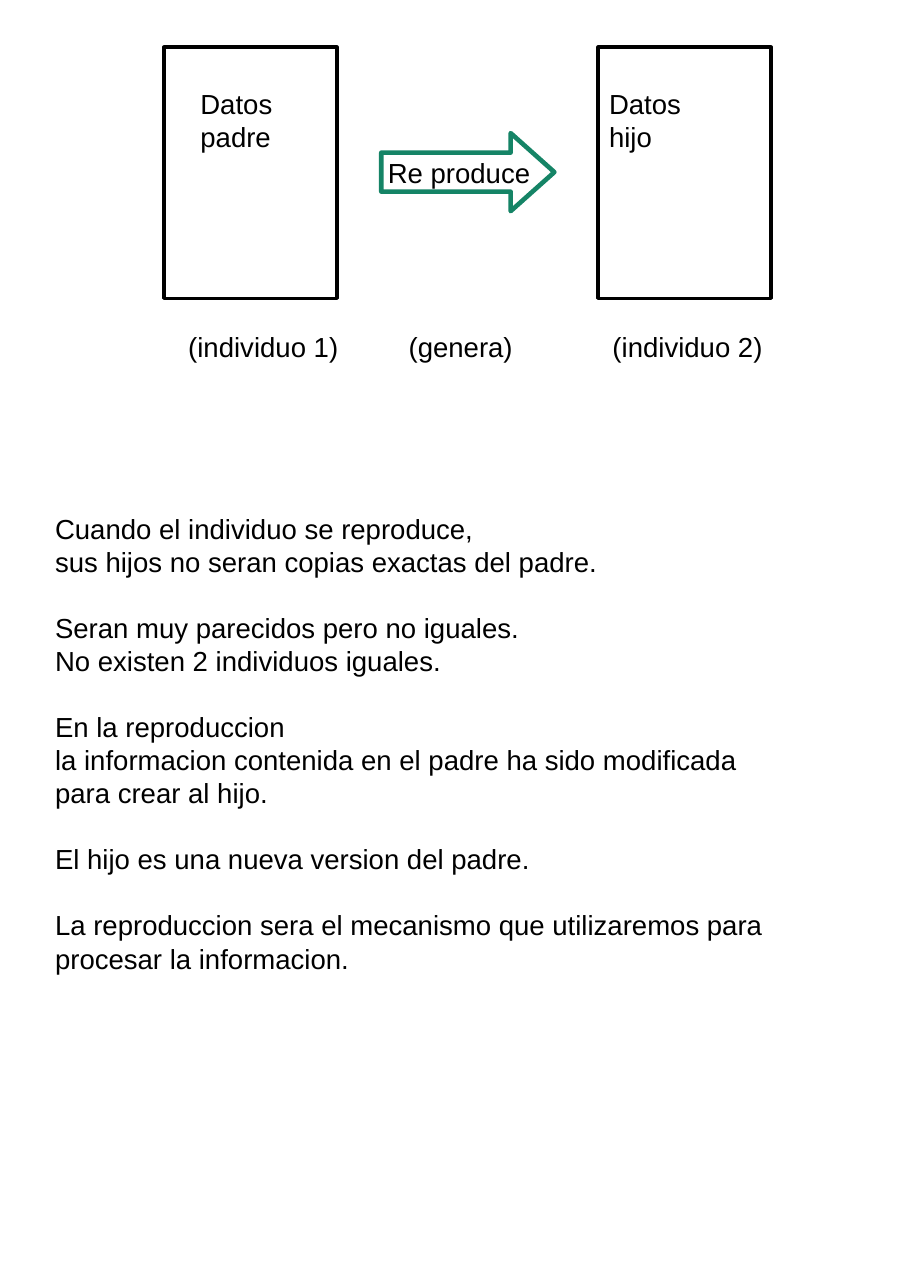
import pptx
import pptx.dml.color
import pptx.enum.shapes
import pptx.enum.text
import pptx.util

Cm = pptx.util.Cm
Pt = pptx.util.Pt
SHAPES = pptx.enum.shapes.MSO_SHAPE

COLOURS = {"ink": "000000", "arrow": "158466"}
FONT = "Arial"
FONT_SIZE = 18
LINE_PITCH = 21.6

CARD_TOP, CARD_WIDTH, CARD_HEIGHT = 1.09, 3.99, 5.79
DATA_TOP = 1.88
CARDS = [
    {"left": 3.78, "data": ["Datos", "padre"], "data_left": 4.37, "data_width": 2.74},
    {"left": 13.79, "data": ["Datos", "hijo"], "data_left": 13.79, "data_width": 3.99},
]

ARROW = (8.79, 3.07, 3.99, 1.8)
ARROW_LABEL = ("Re produce", 8.69, 3.48, 4.7)

CAPTION_TOP = 7.49
CAPTIONS = [("(individuo 1)", 4.09), ("(individuo 2)", 13.87), ("(genera)", 9.17)]

BODY_LEFT, BODY_TOP, BODY_WIDTH = 1.02, 11.68, 18.77
BODY = [
    ["Cuando el individuo se reproduce,", "sus hijos no seran copias exactas del padre."],
    ["Seran muy parecidos pero no iguales.", "No existen 2 individuos iguales."],
    [
        "En la reproduccion",
        "la informacion contenida en el padre ha sido modificada",
        "para crear al hijo.",
    ],
    ["El hijo es una nueva version del padre."],
    ["La reproduccion sera el mecanismo que utilizaremos para procesar la informacion."],
]


def colour(name):
    return pptx.dml.color.RGBColor.from_string(COLOURS[name])


def add_outline(page, kind, left, top, width, height, line_colour, line_width):
    shape = page.shapes.add_shape(kind, Cm(left), Cm(top), Cm(width), Cm(height))
    shape.shadow.inherit = False
    shape.fill.background()
    shape.line.color.rgb = colour(line_colour)
    shape.line.width = Pt(line_width)
    return shape


def add_text(page, groups, left, top, width):
    line_count = sum(len(group) for group in groups) + len(groups) - 1
    height = Cm(0.25) + Pt(LINE_PITCH * line_count)
    box = page.shapes.add_textbox(Cm(left), Cm(top), Cm(width), height)
    frame = box.text_frame
    frame.word_wrap = True
    frame.auto_size = pptx.enum.text.MSO_AUTO_SIZE.SHAPE_TO_FIT_TEXT
    for group_index, group in enumerate(groups):
        for line_index, line in enumerate(group):
            first = group_index == 0 and line_index == 0
            para = frame.paragraphs[0] if first else frame.add_paragraph()
            para.line_spacing = Pt(LINE_PITCH)
            if group_index > 0 and line_index == 0:
                para.space_before = Pt(LINE_PITCH)
            span = para.add_run()
            span.text = line
            span.font.name = FONT
            span.font.size = Pt(FONT_SIZE)
            span.font.color.rgb = colour("ink")


def main():
    deck = pptx.Presentation()
    deck.slide_width, deck.slide_height = Cm(21), Cm(29.7)
    page = deck.slides.add_slide(deck.slide_layouts[6])

    for card in CARDS:
        add_outline(page, SHAPES.RECTANGLE, card["left"], CARD_TOP,
                    CARD_WIDTH, CARD_HEIGHT, "ink", 2.3)
        add_text(page, [card["data"]], card["data_left"], DATA_TOP, card["data_width"])

    arrow = add_outline(page, SHAPES.RIGHT_ARROW, *ARROW, "arrow", 3)
    arrow.adjustments[0] = 0.5
    arrow.adjustments[1] = 0.56
    label, left, top, width = ARROW_LABEL
    add_text(page, [[label]], left, top, width)

    for caption, left in CAPTIONS:
        add_text(page, [[caption]], left, CAPTION_TOP, CARD_WIDTH)

    add_text(page, BODY, BODY_LEFT, BODY_TOP, BODY_WIDTH)
    deck.save("out.pptx")


if __name__ == "__main__":
    main()
